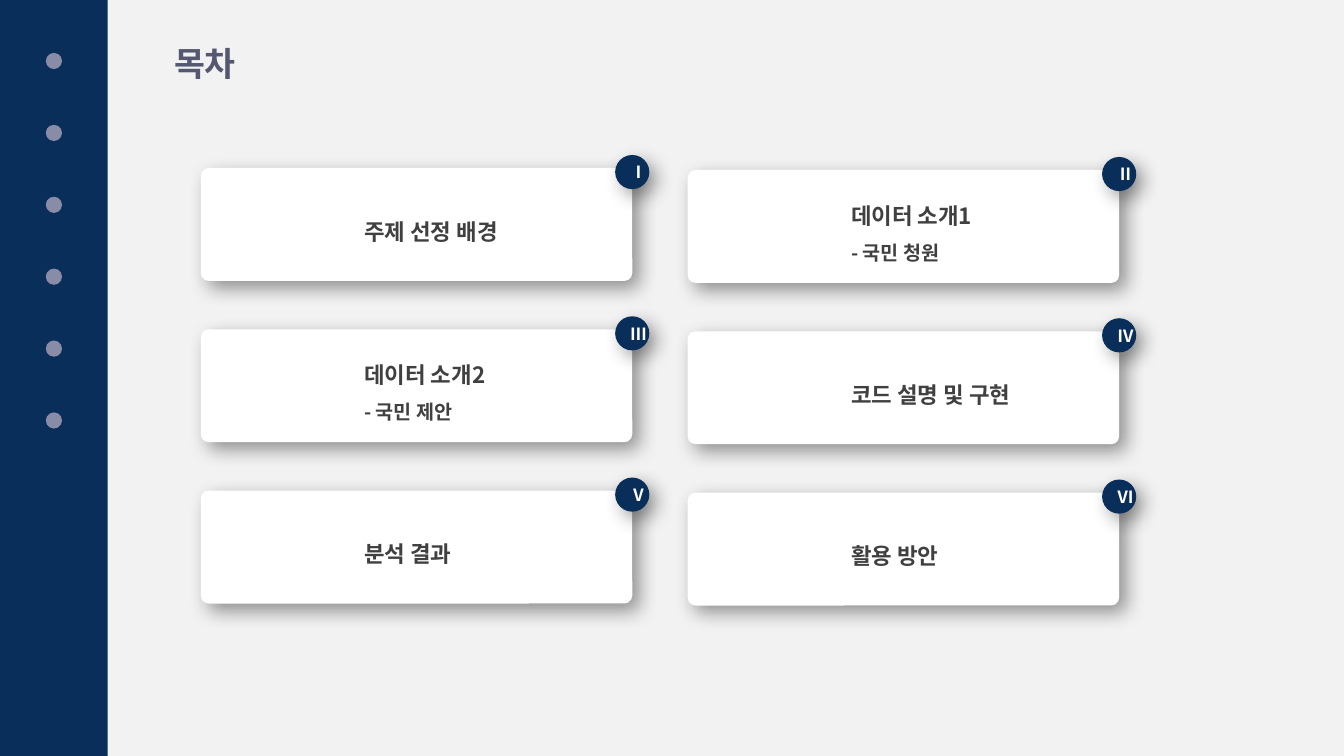
from lxml.etree import SubElement as Sub
from pptx import Presentation
from pptx.dml.color import RGBColor as RGB
from pptx.enum.shapes import MSO_SHAPE as Kind
from pptx.enum.text import MSO_ANCHOR as Anchor, MSO_AUTO_SIZE as Auto, PP_ALIGN as Align
from pptx.oxml.ns import qn
from pptx.util import Pt

TITLE = "목차"
CARDS = [
    ("Ⅰ", ["주제 선정 배경"]),
    ("Ⅱ", ["데이터 소개1", "- 국민 청원"]),
    ("Ⅲ", ["데이터 소개2", "- 국민 제안"]),
    ("Ⅳ", ["코드 설명 및 구현"]),
    ("Ⅴ", ["분석 결과"]),
    ("Ⅵ", ["활용 방안"]),
]
THEME = {
    "font": "Noto Sans CJK KR",
    "back": "F2F2F2", "navy": "082E59", "dot": "888CA6",
    "title": "545871", "text": "404040", "white": "FFFFFF", "shade": "000000",
    "big": 24, "head": 16, "sub": 14, "badge": 12,
}
WIDE, HIGH = 960, 540
BAR = 77
DOTS, DOT, DOT_TOP, DOT_STEP = 6, 11.6, 37.8, 51.35
CARD_W, CARD_H = 308.2, 80.7
LEFT, TOP, COL_STEP, ROW_STEP, DROP = 143.4, 120, 347.8, 115.2, 1.4
BADGE, RISE = 24.4, 9.3
INDENT = 108


def color(key):
    return RGB.from_string(THEME[key])


def draw(slide, kind, box, fill):
    shape = slide.shapes.add_shape(kind, *map(Pt, box))
    shape.shadow.inherit = False
    shape.fill.solid()
    shape.fill.fore_color.rgb = color(fill)
    shape.line.fill.background()
    return shape


def shade(shape):
    effects = shape._element.spPr.find(qn("a:effectLst"))
    outer = Sub(effects, qn("a:outerShdw"), blurRad=str(Pt(14)), dist=str(Pt(7)),
                dir="2700000", algn="tl", rotWithShape="0")
    tone = Sub(outer, qn("a:srgbClr"), val=THEME["shade"])
    Sub(tone, qn("a:alpha"), val="40000")


def write(para, text, size, ink):
    run = para.add_run()
    run.text = text
    font = run.font
    font.name = THEME["font"]
    font.size = Pt(THEME[size])
    font.bold = True
    font.color.rgb = color(ink)
    Sub(font._element, qn("a:ea"), typeface=THEME["font"])


def add_card(slide, left, top, lines):
    card = draw(slide, Kind.ROUNDED_RECTANGLE, (left, top, CARD_W, CARD_H), "white")
    card.adjustments[0] = 0.07
    shade(card)
    frame = card.text_frame
    frame.word_wrap = True
    frame.vertical_anchor = Anchor.MIDDLE
    for i, line in enumerate(lines):
        para = frame.add_paragraph() if i else frame.paragraphs[0]
        para.level = 3
        para.alignment = Align.LEFT
        para.line_spacing = 1.5
        props = para._p.get_or_add_pPr()
        props.set("marL", str(Pt(INDENT)))
        props.set("indent", "0")
        write(para, line, "sub" if i else "head", "text")


def add_badge(slide, left, top, mark):
    badge = draw(slide, Kind.OVAL, (left, top, BADGE, BADGE), "navy")
    shade(badge)
    frame = badge.text_frame
    frame.word_wrap = True
    frame.vertical_anchor = Anchor.MIDDLE
    para = frame.paragraphs[0]
    para.alignment = Align.CENTER
    write(para, mark, "badge", "white")


def main():
    deck = Presentation()
    deck.slide_width, deck.slide_height = Pt(WIDE), Pt(HIGH)
    slide = deck.slides.add_slide(deck.slide_layouts[6])
    slide.background.fill.solid()
    slide.background.fill.fore_color.rgb = color("back")

    draw(slide, Kind.RECTANGLE, (0, 0, BAR, HIGH), "navy")
    for i in range(DOTS):
        draw(slide, Kind.OVAL, ((BAR - DOT) / 2, DOT_TOP + i * DOT_STEP, DOT, DOT), "dot")

    title = slide.shapes.add_textbox(Pt(117.2), Pt(13), Pt(434), Pt(45.4)).text_frame
    title.word_wrap = True
    title.auto_size = Auto.SHAPE_TO_FIT_TEXT
    title.paragraphs[0].line_spacing = 1.5
    write(title.paragraphs[0], TITLE, "big", "title")

    for i, (mark, lines) in enumerate(CARDS):
        row, col = divmod(i, 2)
        left = LEFT + col * COL_STEP
        top = TOP + row * ROW_STEP + col * DROP
        add_card(slide, left, top, lines)
        add_badge(slide, left + CARD_W - BADGE / 2, top - RISE, mark)

    deck.save("out.pptx")


if __name__ == "__main__":
    main()
